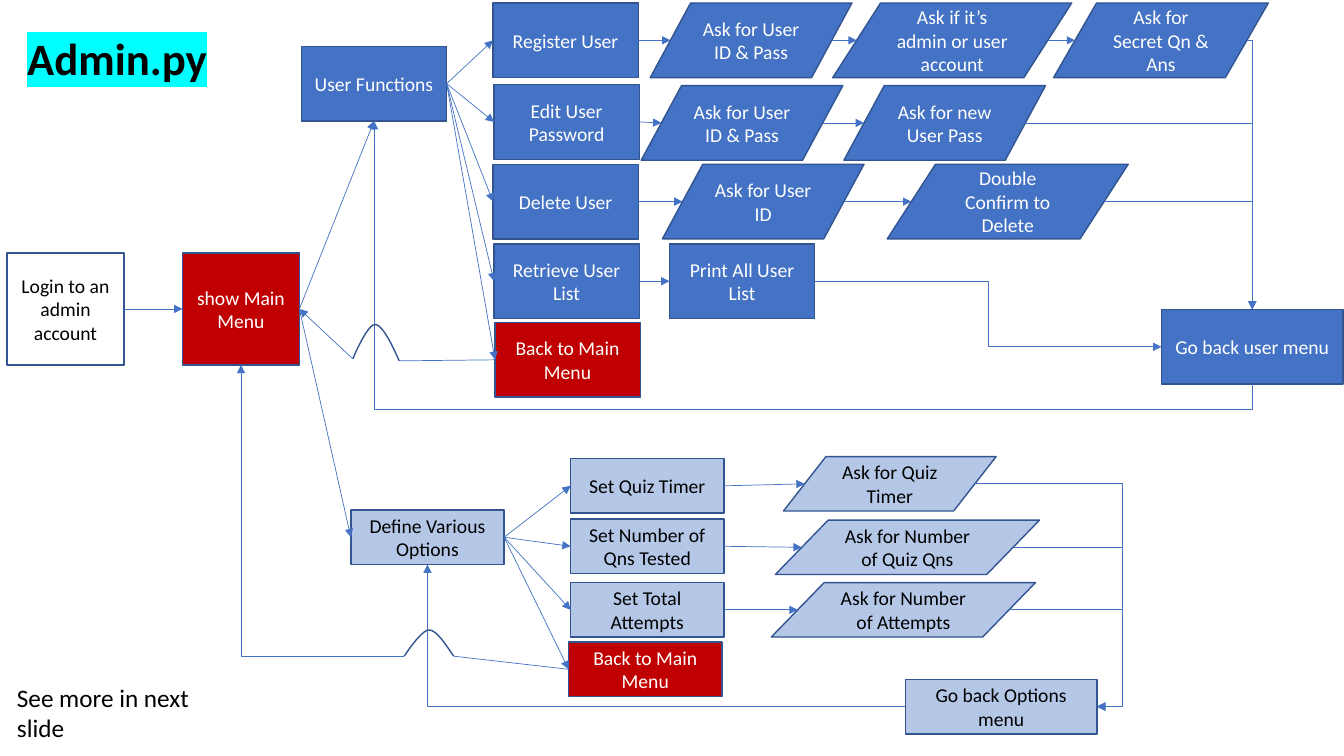
from dataclasses import dataclass
from typing import Any

from lxml import etree
from pptx import Presentation
from pptx import util as u
from pptx.dml import color
from pptx.enum import shapes, text
from pptx.oxml import ns

PX = u.Inches(1) // 100
FONT = "Calibri"
BLUE, PALE, RED = "4472C4", "B4C7E7", "C00000"
WHITE, BLACK, OUTLINE, CYAN = "FFFFFF", "000000", "325491", "00FFFF"
TOP, LEFT, BOTTOM, RIGHT = range(4)
PROCESS = shapes.MSO_SHAPE.FLOWCHART_PROCESS
ASK = shapes.MSO_SHAPE.FLOWCHART_DATA
ASK_SITES = {LEFT: "2", RIGHT: "5"}


@dataclass
class Port:
    x: int
    y: int
    box: Any = None
    side: int = 0


def rgb(value):
    return color.RGBColor.from_string(value)


def add_child(parent, tag, **attributes):
    return etree.SubElement(parent, ns.qn(tag), attributes)


def write(frame, words, size, ink, align):
    frame.word_wrap = True
    para = frame.paragraphs[0]
    para.alignment = align
    span = para.add_run()
    span.text = words
    span.font.name = FONT
    span.font.size = u.Pt(size)
    span.font.color.rgb = rgb(ink)
    return span


def add_box(page, kind, words, left, top, width, height, fill):
    box = page.shapes.add_shape(kind, *(n * PX for n in (left, top, width, height)))
    box.shadow.inherit = False
    box.fill.solid()
    box.fill.fore_color.rgb = rgb(fill)
    box.line.color.rgb = rgb(OUTLINE)
    box.line.width = u.Pt(1)
    box.text_frame.vertical_anchor = text.MSO_ANCHOR.MIDDLE
    ink = WHITE if fill in (BLUE, RED) else BLACK
    write(box.text_frame, words, 14, ink, text.PP_ALIGN.CENTER)
    return box


def port(box, side):
    inset = box.width // 10 if box.auto_shape_type == ASK else 0
    middle_x, middle_y = box.left + box.width // 2, box.top + box.height // 2
    x, y = {
        TOP: (middle_x, box.top),
        LEFT: (box.left + inset, middle_y),
        BOTTOM: (middle_x, box.top + box.height),
        RIGHT: (box.left + box.width - inset, middle_y),
    }[side]
    return Port(x, y, box, side)


def point(x, y):
    return Port(x * PX, y * PX)


def link(page, start, end, preset=None, bends=(), arrow=True):
    kind = shapes.MSO_CONNECTOR.ELBOW if preset else shapes.MSO_CONNECTOR.STRAIGHT
    line = page.shapes.add_connector(kind, start.x, start.y, end.x, end.y)
    joins = ((start, line.begin_connect, "a:stCxn"), (end, line.end_connect, "a:endCxn"))
    for stop, connect, tag in joins:
        if stop.box is not None:
            connect(stop.box, stop.side)
            if stop.box.auto_shape_type == ASK:
                next(line.element.iter(ns.qn(tag))).set("idx", ASK_SITES[stop.side])
    line.begin_x, line.begin_y = start.x, start.y
    line.end_x, line.end_y = end.x, end.y
    line.line.color.rgb = rgb(BLUE)
    line.line.width = u.Pt(0.5)
    if arrow:
        add_child(line.line._get_or_add_ln(), "a:tailEnd", type="triangle")
    properties = line.element.spPr
    add_child(properties, "a:effectLst")
    if preset:
        geometry = properties.find(ns.qn("a:prstGeom"))
        geometry.set("prst", preset)
        for guides in geometry.findall(ns.qn("a:avLst")):
            geometry.remove(guides)
        guides = add_child(geometry, "a:avLst")
        for number, bend in enumerate(bends, 1):
            name = "adj" if preset == "bentConnector3" else "adj"
            name = name + (str(number) if len(bends) > 1 or preset == "bentConnector3" else "")
            add_child(guides, "a:gd", name=name, fmla=f"val {round(bend * 100000)}")
    return line


def turn_upright(line):
    middle_x, middle_y = line.left + line.width // 2, line.top + line.height // 2
    line.width, line.height = line.height, line.width
    line.left, line.top = middle_x - line.width // 2, middle_y - line.height // 2
    frame = line.element.spPr.find(ns.qn("a:xfrm"))
    frame.set("rot", "5400000")
    frame.set("flipH", "1")
    frame.set("flipV", "0")


def curve(a, b, c, d, steps=12):
    for step in range(1, steps + 1):
        t = step / steps
        s = 1 - t
        yield tuple(
            round((s**3 * p + 3 * s * s * t * q + 3 * s * t * t * r + t**3 * v) * PX)
            for p, q, r, v in zip(a, b, c, d)
        )


def add_hop(page, right, right_pull, peak_pull, peak, left_pull, left):
    builder = page.shapes.build_freeform(right[0] * PX, right[1] * PX, scale=1.0)
    spots = [*curve(right, right_pull, peak_pull, peak), *curve(peak, left_pull, left, left)]
    builder.add_line_segments(spots, close=False)
    hop = builder.convert_to_shape()
    hop.shadow.inherit = False
    hop.fill.background()
    hop.line.color.rgb = rgb(OUTLINE)
    hop.line.width = u.Pt(1)


def add_title(page):
    title = page.shapes.title
    title.left, title.top, title.width, title.height = (n * PX for n in (17, 25, 203, 64))
    title.text_frame.vertical_anchor = text.MSO_ANCHOR.TOP
    title.text_frame.auto_size = text.MSO_AUTO_SIZE.SHAPE_TO_FIT_TEXT
    span = write(title.text_frame, "Admin.py", 32, BLACK, text.PP_ALIGN.LEFT)
    span.font.bold = True
    fill = span.font._element.find(ns.qn("a:solidFill"))
    highlight = etree.Element(ns.qn("a:highlight"))
    add_child(highlight, "a:srgbClr", val=CYAN)
    fill.addnext(highlight)


def add_row(page, hub, first, asks, fill):
    link(page, port(hub, RIGHT), port(first, LEFT))
    last = first
    for words, left, top, width in asks:
        box = add_box(page, ASK, words, left, top, width, first.height // PX, fill)
        link(page, port(last, RIGHT), port(box, LEFT))
        last = box
    return last


def add_user_part(page, menu):
    hub = add_box(page, PROCESS, "User Functions", 299, 46, 144, 74, BLUE)
    back = add_box(page, PROCESS, "Go back user menu", 1152, 307, 180, 74, BLUE)
    link(page, port(menu, RIGHT), port(hub, BOTTOM))
    rows = [
        ("Register User", 489, 3, [("Ask for User ID & Pass", 645, 3, 200),
                                   ("Ask if it’s admin or user account", 826, 3, 237),
                                   ("Ask for Secret Qn & Ans", 1045, 3, 213)]),
        ("Edit User Password", 490, 84, [("Ask for User ID & Pass", 636, 85, 200),
                                         ("Ask for new User Pass", 837, 85, 200)]),
        ("Delete User", 489, 163, [("Ask for User ID", 657, 163, 200),
                                   ("Double Confirm to Delete", 880, 163, 239)]),
    ]
    for words, left, top, asks in rows:
        first = add_box(page, PROCESS, words, left, top, 144, 74, BLUE)
        last = add_row(page, hub, first, asks, BLUE)
        preset, bends = ("bentConnector4", (1.05, 0.57)) if top == 3 else ("bentConnector2", ())
        link(page, port(last, RIGHT), port(back, TOP), preset, bends)
    retrieve = add_box(page, PROCESS, "Retrieve User List", 490, 242, 144, 74, BLUE)
    show = add_box(page, PROCESS, "Print All User List", 664, 242, 144, 74, BLUE)
    link(page, port(hub, RIGHT), port(retrieve, LEFT))
    link(page, port(retrieve, RIGHT), port(show, LEFT))
    link(page, port(show, RIGHT), port(back, LEFT), "bentConnector3", (0.5,))
    turn_upright(link(page, port(back, BOTTOM), port(hub, BOTTOM), "bentConnector3", (-0.096,)))
    leave = add_box(page, PROCESS, "Back to Main Menu", 491, 320, 144, 74, RED)
    link(page, port(hub, RIGHT), port(leave, LEFT))
    add_hop(page, (396, 358), (388, 340), (379, 322), (372, 322), (364, 322), (350, 356))
    link(page, port(leave, LEFT), point(396, 358), arrow=False)
    link(page, point(350, 356), port(menu, RIGHT))


def add_options_part(page, menu):
    hub = add_box(page, PROCESS, "Define Various Options", 348, 506, 152, 54, PALE)
    back = add_box(page, PROCESS, "Go back Options menu", 898, 674, 190, 54, PALE)
    link(page, port(menu, RIGHT), port(hub, LEFT))
    rows = [
        ("Set Quiz Timer", 455, ("Ask for Quiz Timer", 777, 453, 211)),
        ("Set Number of Qns Tested", 515, ("Ask for Number of Quiz Qns", 769, 516, 262)),
        ("Set Total Attempts", 578, ("Ask for Number of Attempts", 765, 578, 262)),
    ]
    for words, top, ask in rows:
        first = add_box(page, PROCESS, words, 566, top, 152, 54, PALE)
        start = port(add_row(page, hub, first, [ask], PALE), RIGHT)
        end = port(back, RIGHT)
        bend = (1113 * PX - start.x) / (end.x - start.x)
        link(page, start, end, "bentConnector3", (bend,))
    link(page, port(back, LEFT), port(hub, BOTTOM), "bentConnector2")
    leave = add_box(page, PROCESS, "Back to Main Menu", 564, 637, 152, 54, RED)
    link(page, port(hub, RIGHT), port(leave, LEFT))
    add_hop(page, (450, 651), (441, 638), (433, 625), (425, 625), (417, 626), (401, 651))
    link(page, port(leave, LEFT), point(450, 651), arrow=False)
    link(page, point(401, 651), port(menu, BOTTOM), "bentConnector4", (1.0, 0.55))


def main():
    deck = Presentation()
    deck.slide_width, deck.slide_height = 1333 * PX, 750 * PX
    page = deck.slides.add_slide(deck.slide_layouts[5])
    add_title(page)
    menu = add_box(page, PROCESS, "show Main Menu", 181, 251, 116, 111, RED)
    login = add_box(page, PROCESS, "Login to an admin account", 7, 251, 116, 111, WHITE)
    link(page, port(login, RIGHT), port(menu, LEFT))
    add_user_part(page, menu)
    add_options_part(page, menu)
    note = page.shapes.add_textbox(*(n * PX for n in (7, 672, 223, 71)))
    note.text_frame.auto_size = text.MSO_AUTO_SIZE.SHAPE_TO_FIT_TEXT
    write(note.text_frame, "See more in next slide", 18, BLACK, text.PP_ALIGN.LEFT)
    deck.save("out.pptx")


if __name__ == "__main__":
    main()
